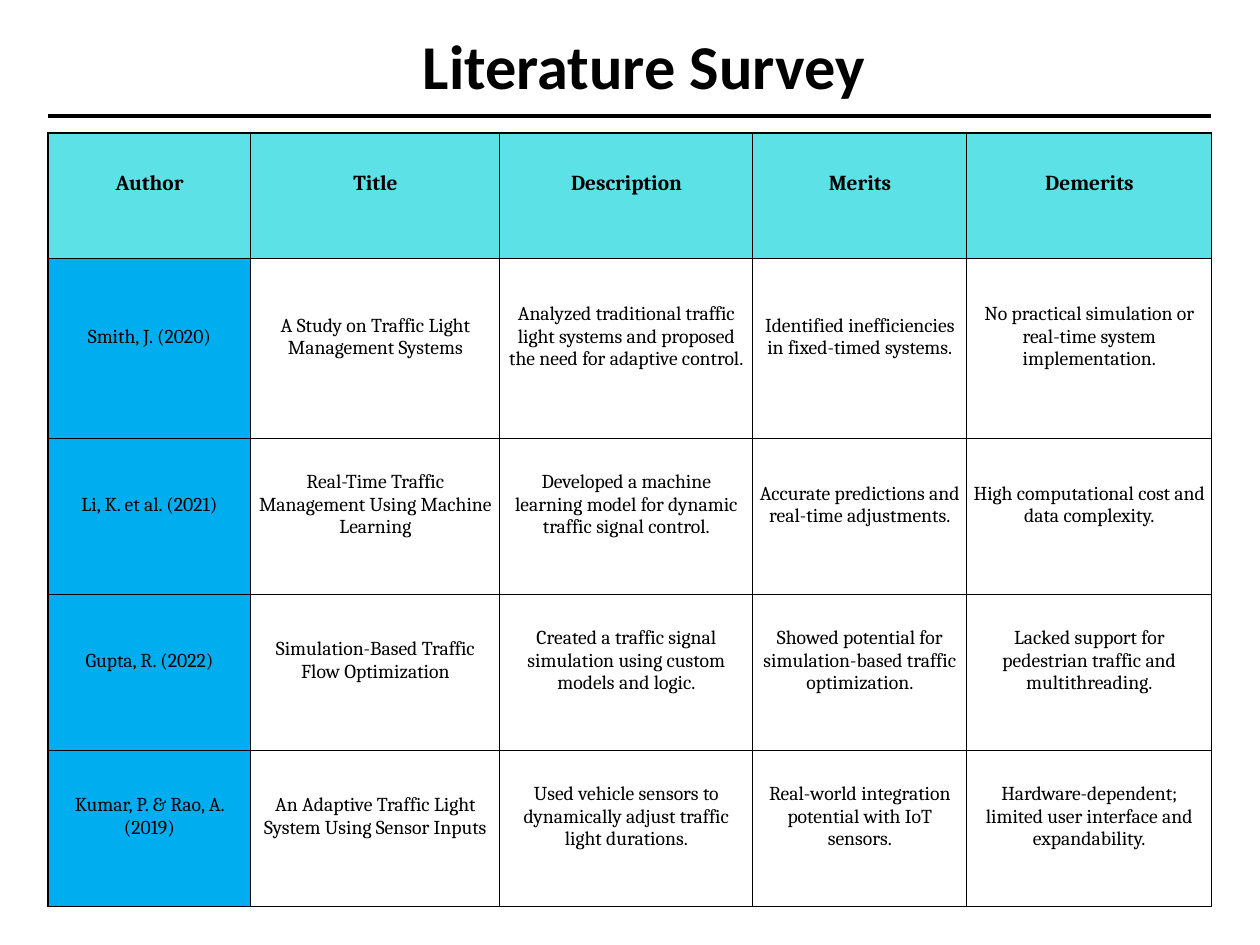
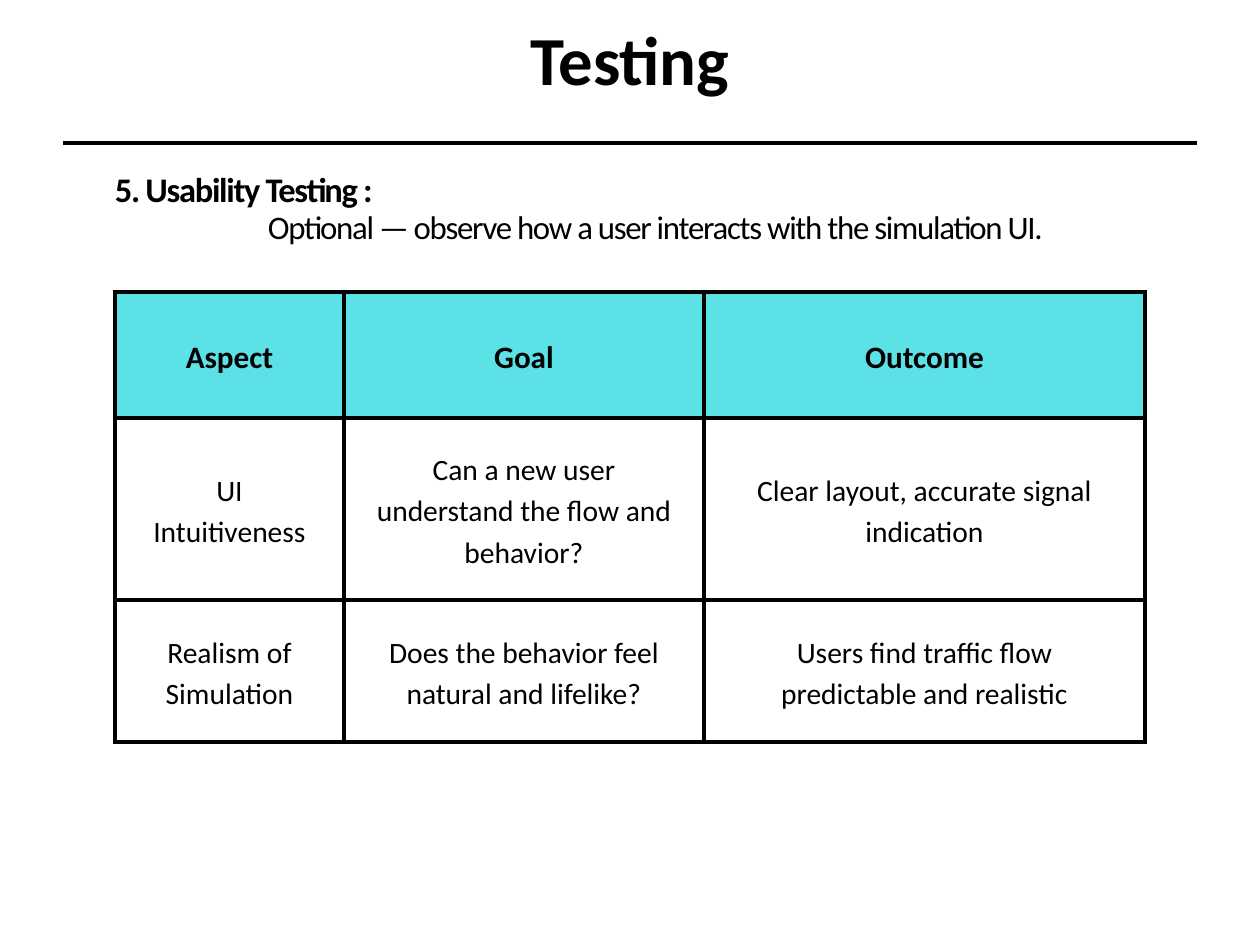
import pptx
import pptx.dml.color
import pptx.enum.shapes
import pptx.enum.text
import pptx.oxml.ns
import pptx.util
from lxml import etree

PX = 7742  # EMU per px
COLORS = {"ink": "000000", "paper": "FFFFFF", "header": "5CE1E6", "author": "00AEEF"}
ALIGN = pptx.enum.text.PP_ALIGN
MIDDLE = pptx.enum.text.MSO_ANCHOR.MIDDLE
qn = pptx.oxml.ns.qn


def rgb(name):
    return pptx.dml.color.RGBColor.from_string(COLORS[name])


def put(tf, text, size, leading, font="Calibri", bold=False,
        align=ALIGN.CENTER, spc=0, indent=0):
    """Write one paragraph into tf, filling its empty first paragraph if there is one."""
    p = tf.paragraphs[0] if not tf.text else tf.add_paragraph()
    p.alignment = align
    p.line_spacing = pptx.util.Pt(leading)
    if indent:
        p._p.get_or_add_pPr().set("indent", str(indent * PX))
    r = p.add_run()
    r.text = text
    r.font.name = font
    r.font.size = pptx.util.Pt(size)
    r.font.bold = bold
    r.font.color.rgb = rgb("ink")
    if spc:
        r._r.get_or_add_rPr().set("spc", str(spc))


slides = [
    {
        "title": "Literature Survey", "title_at": (77, -18), "title_size": 38, "title_leading": 45.6,
        "rule": (48, 1211, 116), "intro": [],
        "at": (48, 133), "cols": [203, 249, 253, 214, 245], "rows": [126, 180, 156, 156, 156],
        "font": "Cambria", "header": (13, 14.9), "body": (12, 13.8),
        "inset": 6, "bottom": 30, "border": 0.75, "first_col": "author",
        "cells": [
            ["Author", "Title", "Description", "Merits", "Demerits"],
            ["Smith, J. (2020)",
             "A Study on Traffic Light Management Systems",
             "Analyzed traditional traffic light systems and proposed the need for adaptive control.",
             "Identified inefficiencies in fixed-timed systems.",
             "No practical simulation or real-time system implementation."],
            ["Li, K. et al. (2021)",
             "Real-Time Traffic Management Using Machine Learning",
             "Developed a machine learning model for dynamic traffic signal control.",
             "Accurate predictions and real-time adjustments.",
             "High computational cost and data complexity."],
            ["Gupta, R. (2022)",
             "Simulation-Based Traffic Flow Optimization",
             "Created a traffic signal simulation using custom models and logic.",
             "Showed potential for simulation-based traffic optimization.",
             "Lacked support for pedestrian traffic and multithreading."],
            ["Kumar, P. & Rao, A. (2019)",
             "An Adaptive Traffic Light System Using Sensor Inputs",
             "Used vehicle sensors to dynamically adjust traffic light durations.",
             "Real-world integration potential with IoT sensors.",
             "Hardware-dependent; limited user interface and expandability."],
        ],
    },
    {
        "title": "Testing", "title_at": (63, -24), "title_size": 41.9, "title_leading": 50.3,
        "rule": (63, 1197, 143),
        "intro": [
            ("5. Usability Testing :", {"size": 21, "leading": 23.5, "bold": True}),
            ("Optional — observe how a user interacts with the simulation UI.",
             {"size": 20, "leading": 22.4, "indent": 153}),
        ],
        "at": (115, 292), "cols": [229, 360, 441], "rows": [126, 182, 142],
        "font": "Calibri", "header": (19, 26.6), "body": (18, 25.2),
        "inset": 25, "bottom": 25, "border": 2.25, "first_col": None,
        "cells": [
            ["Aspect", "Goal", "Outcome"],
            ["UI Intuitiveness",
             "Can a new user understand the flow and behavior?",
             "Clear layout, accurate signal indication"],
            ["Realism of Simulation",
             "Does the behavior feel natural and lifelike?",
             "Users find traffic flow predictable and realistic"],
        ],
    },
]

prs = pptx.Presentation()
prs.slide_width = 1260 * PX
prs.slide_height = 945 * PX

for d in slides:
    s = prs.slides.add_slide(prs.slide_layouts[6])
    s.background.fill.solid()
    s.background.fill.fore_color.rgb = rgb("paper")

    # Title and introduction
    boxes = [(*d["title_at"], 1134, 165)]
    if d["intro"]:
        boxes.append((115, 171, 1100, 177))
    frames = []
    for box in boxes:
        tf = s.shapes.add_textbox(*[v * PX for v in box]).text_frame
        tf.word_wrap = True
        tf.margin_left = tf.margin_top = tf.margin_right = tf.margin_bottom = 0
        frames.append(tf)
    frames[0].vertical_anchor = MIDDLE
    put(frames[0], d["title"], d["title_size"], d["title_leading"], bold=True)
    for text, fmt in d["intro"]:
        put(frames[1], text, align=ALIGN.JUSTIFY, spc=-80, **fmt)

    # Rule under the title
    x1, x2, y = [v * PX for v in d["rule"]]
    rule = s.shapes.add_connector(pptx.enum.shapes.MSO_CONNECTOR.STRAIGHT, x1, y, x2, y)
    rule.line.color.rgb = rgb("ink")
    rule.line.width = pptx.util.Pt(3)
    etree.SubElement(rule._element.spPr, qn("a:effectLst"))

    # Table
    left, top = d["at"]
    cols, rows = d["cols"], d["rows"]
    table = s.shapes.add_table(len(rows), len(cols), left * PX, top * PX,
                               sum(cols) * PX, sum(rows) * PX).table
    table.first_row = table.horz_banding = False
    for column, width in zip(table.columns, cols):
        column.width = width * PX
    for row, height in zip(table.rows, rows):
        row.height = height * PX
    for i, texts in enumerate(d["cells"]):
        for j, text in enumerate(texts):
            cell = table.cell(i, j)
            cell.vertical_anchor = MIDDLE
            cell.margin_left = cell.margin_top = cell.margin_right = d["inset"] * PX
            cell.margin_bottom = d["bottom"] * PX
            for side in ("a:lnL", "a:lnR", "a:lnT", "a:lnB"):
                ln = etree.SubElement(cell._tc.get_or_add_tcPr(), qn(side),
                                      w=str(pptx.util.Pt(d["border"])))
                solid = etree.SubElement(ln, qn("a:solidFill"))
                etree.SubElement(solid, qn("a:srgbClr"), val=COLORS["ink"])
            fill = "header" if i == 0 else d["first_col"] if j == 0 else None
            if fill:
                cell.fill.solid()
                cell.fill.fore_color.rgb = rgb(fill)
            else:
                cell.fill.background()
            size, leading = d["header"] if i == 0 else d["body"]
            put(cell.text_frame, text, size, leading, font=d["font"], bold=i == 0)

prs.save("out.pptx")
